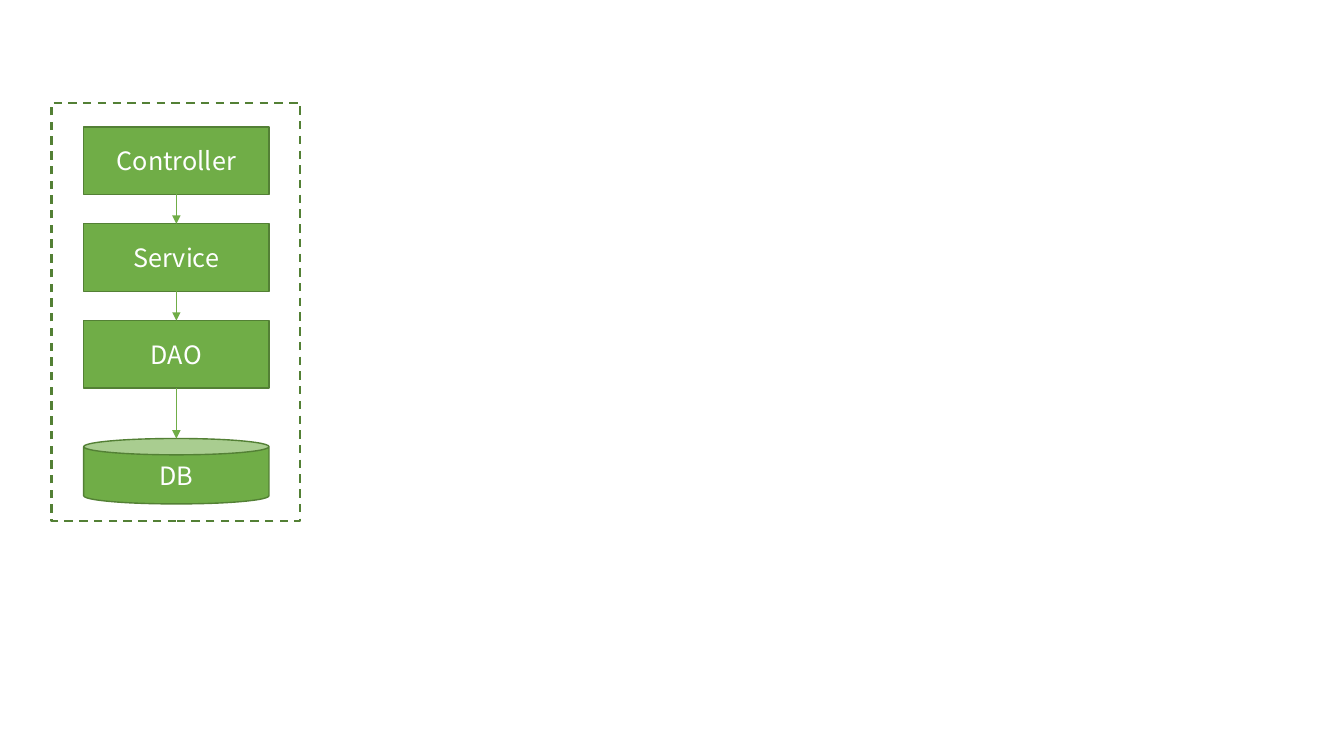
from dataclasses import dataclass
from itertools import pairwise

from lxml import etree
from pptx import Presentation
from pptx import util as u
from pptx.dml.color import RGBColor
from pptx.enum import dml, shapes, text
from pptx.oxml.ns import qn
from pptx.shapes.autoshape import Shape
from pptx.shapes.shapetree import SlideShapes

COLORS = {"fill": "70AD47", "border": "538035", "arrow": "70AD47", "text": "FFFFFF"}
FONT = "Noto Sans CJK SC"
LEFT, WIDTH = 2.11, 4.67
FIRST_TOP, PITCH, BOX_HEIGHT = 3.2, 2.44, 1.7
BOTTOM_SIDE, TOP_SIDE = 2, 0


@dataclass
class Layer:
    name: str
    top: float
    height: float = BOX_HEIGHT
    kind: shapes.MSO_SHAPE = shapes.MSO_SHAPE.RECTANGLE


LAYERS = [
    Layer(name, FIRST_TOP + i * PITCH)
    for i, name in enumerate(["Controller", "Service", "DAO"])
] + [Layer("DB", 11.05, 1.65, shapes.MSO_SHAPE.CAN)]


def color(name: str) -> RGBColor:
    return RGBColor.from_string(COLORS[name])


def add_layer(tree: SlideShapes, layer: Layer) -> Shape:
    sp = tree.add_shape(layer.kind, u.Cm(LEFT), u.Cm(layer.top),
                        u.Cm(WIDTH), u.Cm(layer.height))
    sp.shadow.inherit = False
    sp.fill.solid()
    sp.fill.fore_color.rgb = color("fill")
    sp.line.color.rgb = color("border")
    sp.line.width = u.Pt(1)
    tf = sp.text_frame
    tf.vertical_anchor = text.MSO_ANCHOR.MIDDLE
    p = tf.paragraphs[0]
    p.alignment = text.PP_ALIGN.CENTER
    r = p.add_run()
    r.text = layer.name
    r.font.name = FONT
    r.font.size = u.Pt(18)
    r.font.color.rgb = color("text")
    return sp


def add_arrow(tree: SlideShapes, upper: Shape, lower: Shape) -> None:
    """Draw an arrow from the bottom of one layer to the top of the next."""
    x = upper.left + upper.width // 2
    line = tree.add_connector(shapes.MSO_CONNECTOR.STRAIGHT,
                              x, upper.top + upper.height, x, lower.top)
    line.begin_connect(upper, BOTTOM_SIDE)
    if lower.auto_shape_type == shapes.MSO_SHAPE.RECTANGLE:
        line.end_connect(lower, TOP_SIDE)
    line.line.color.rgb = color("arrow")
    line.line.width = u.Pt(0.5)
    sp_pr = line.element.spPr
    etree.SubElement(sp_pr.find(qn("a:ln")), qn("a:tailEnd"), type="triangle")
    etree.SubElement(sp_pr, qn("a:effectLst"))


def add_frame(tree: SlideShapes) -> None:
    sp = tree.add_shape(shapes.MSO_SHAPE.RECTANGLE, u.Cm(1.3), u.Cm(2.59),
                        u.Cm(6.27), u.Cm(10.54))
    sp.shadow.inherit = False
    sp.fill.background()
    sp.line.color.rgb = color("border")
    sp.line.width = u.Pt(1.5)
    sp.line.dash_style = dml.MSO_LINE.DASH


def main() -> None:
    prs = Presentation()
    prs.slide_width, prs.slide_height = u.Cm(33.87), u.Cm(19.05)
    tree = prs.slides.add_slide(prs.slide_layouts[6]).shapes
    boxes = [add_layer(tree, layer) for layer in LAYERS]
    for upper, lower in pairwise(boxes):
        add_arrow(tree, upper, lower)
    add_frame(tree)
    prs.save("out.pptx")


if __name__ == "__main__":
    main()
